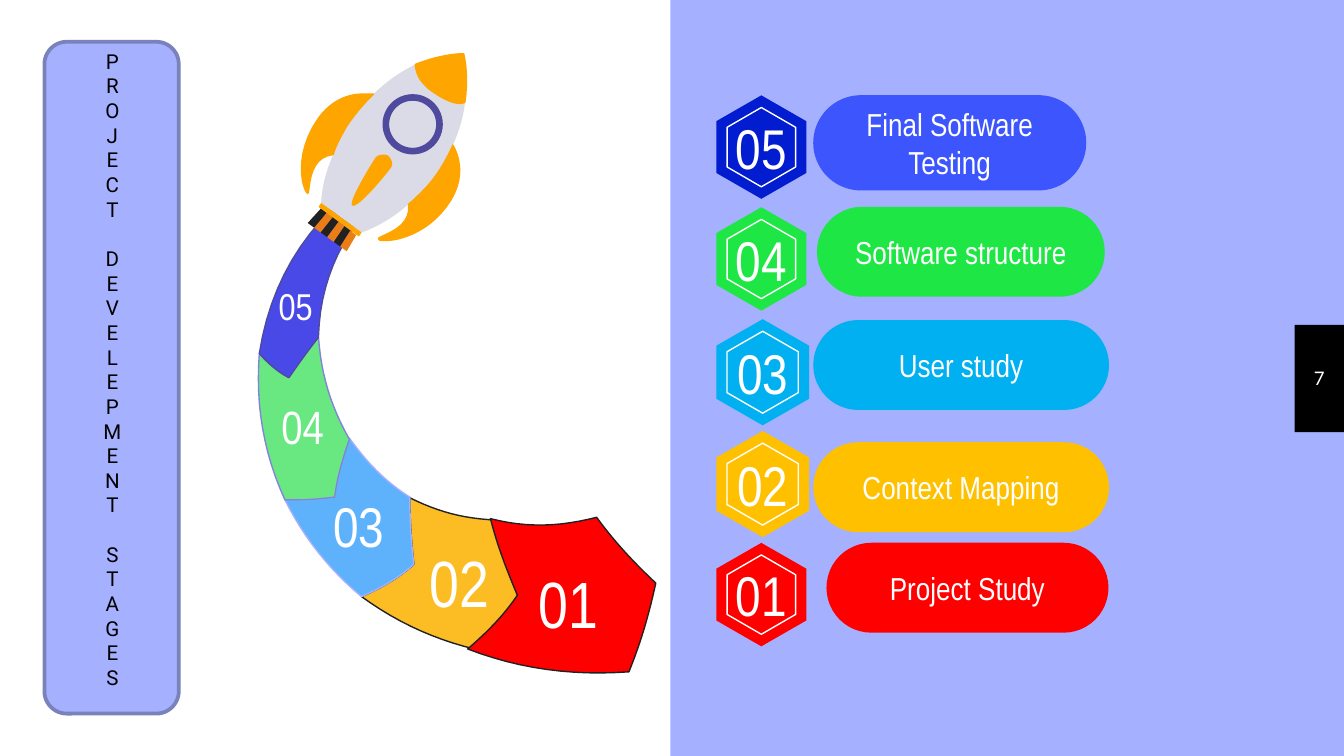
from dataclasses import dataclass
from itertools import accumulate

from pptx import Presentation
from pptx.dml.color import RGBColor
from pptx.enum.shapes import MSO_SHAPE as Preset
from pptx.enum.text import MSO_ANCHOR as Anchor, MSO_AUTO_SIZE as AutoSize, PP_ALIGN as Align
from pptx.util import Cm, Pt


@dataclass(frozen=True)
class Theme:
    lavender: str = "A5B0FE"
    white: str = "FFFFFF"
    black: str = "000000"
    ink: str = "212121"
    panel_line: str = "7A82BC"
    indigo: str = "4F4A9E"
    hull: str = "DADBE6"
    orange: str = "FFA500"
    ember: str = "EB7D16"
    red: str = "FF0000"
    amber: str = "FCBD24"
    sky: str = "5EB2FC"
    mint: str = "69E781"
    mint_line: str = "8184D9"
    violet: str = "4949E7"
    navy: str = "021CCF"
    blue: str = "3D55FD"
    green: str = "1EE644"
    cyan: str = "00B0F0"
    gold: str = "FFC000"
    narrow: str = "Arial Narrow"
    title_font: str = "Roboto"
    number_font: str = "Lato"
    title_size: float = 11
    title_gap: float = 13.2
    number_size: float = 10
    pill_size: float = 17
    badge_size: float = 30
    thin: float = 0.75
    thick: float = 2


theme = Theme()
GRID = Cm(2.54) / 100
CURVE_STEPS = 12


def paint(shape, fill=None, line=None, width=theme.thin):
    shape.shadow.inherit = False
    for target, color in ((shape.fill, fill), (shape.line.fill, line)):
        if color:
            target.solid()
            target.fore_color.rgb = RGBColor.from_string(color)
        else:
            target.background()
    if line:
        shape.line.width = Pt(width)
    return shape


def write(shape, text, size, font=theme.narrow, color=theme.white, anchor=Anchor.MIDDLE, inset=0.25):
    frame = shape.text_frame
    frame.text = text
    frame_format = {
        "word_wrap": True, "auto_size": AutoSize.NONE, "vertical_anchor": anchor,
        "margin_left": Cm(0.25), "margin_right": Cm(0.25),
        "margin_top": Cm(inset), "margin_bottom": Cm(inset),
    }
    for name, value in frame_format.items():
        setattr(frame, name, value)
    for paragraph in frame.paragraphs:
        paragraph.alignment = Align.CENTER
        for run in paragraph.runs:
            for name, value in {"name": font, "size": Pt(size), "bold": False}.items():
                setattr(run.font, name, value)
            run.font.color.rgb = RGBColor.from_string(color)


presentation = Presentation()
presentation.slide_width, presentation.slide_height = Cm(25.4), Cm(14.29)
slide = presentation.slides.add_slide(presentation.slide_layouts[5])
slide.background.fill.solid()
slide.background.fill.fore_color.rgb = RGBColor.from_string(theme.lavender)

number_tab = slide.shapes.add_shape(Preset.RECTANGLE, Cm(24.47), Cm(6.14), Cm(0.93), Cm(2.03))
paint(number_tab, theme.black)
write(number_tab, "7", theme.number_size, theme.number_font)
left_half = slide.shapes.add_shape(Preset.RECTANGLE, 0, 0, Cm(12.67), Cm(14.29))
paint(left_half, theme.white)

stages = [
    ("02", 35, 7.75, 10.31, theme.amber, theme.ink, [
        (304, 370), (305, 370), (305, 387, 306, 403, 308, 420), (297, 430, 283, 438, 269, 444),
        (298, 465, 328, 478, 362, 485), (375, 469, 385, 453, 394, 436),
        (384, 420, 376, 404, 369, 387), (345, 386, 326, 381, 304, 370)]),
    ("03", 30, 5.84, 9.25, theme.sky, theme.lavender, [
        (260, 326), (255, 340, 251, 355, 249, 370), (240, 371, 231, 372, 222, 372), (212, 372),
        (226, 400, 245, 424, 269, 444), (283, 438, 297, 430, 308, 420),
        (306, 403, 305, 387, 305, 370), (286, 358, 273, 344, 260, 326)]),
    ("04", 25, 4.78, 7.37, theme.mint, theme.mint_line, [
        (237, 251), (229, 261, 222, 271, 215, 281), (207, 277, 199, 270, 193, 263),
        (190, 301, 196, 337, 212, 372), (215, 372, 219, 372, 222, 372),
        (231, 372, 240, 371, 249, 370), (251, 355, 255, 341, 260, 327),
        (246, 302, 239, 279, 237, 251)]),
    ("05", 20, 4.65, 5.11, theme.violet, theme.indigo, [
        (266, 139), (225, 171, 201, 212, 193, 263), (199, 270, 207, 277, 215, 281),
        (222, 271, 229, 261, 237, 251), (238, 212, 252, 180, 277, 151), (266, 139)]),
    ("01", 35, 9.8, 10.72, theme.red, theme.ink, [
        (365, 386), (370, 406, 377, 424, 385, 443), (375, 458, 362, 471, 348, 483),
        (387, 498, 426, 503, 468, 500), (477, 478, 483, 457, 488, 434),
        (472, 419, 457, 403, 444, 385), (417, 392, 392, 393, 365, 386)]),
]
hull = [
    (309, 48), (299, 53, 288, 60, 278, 70), (270, 78, 264, 85, 258, 94),
    (254, 101, 250, 108, 248, 115), (239, 135, 239, 151, 239, 151), (269, 173),
    (269, 173, 286, 168, 304, 152), (310, 147, 315, 142, 321, 135),
    (328, 126, 333, 117, 337, 108), (342, 97, 345, 86, 346, 76),
    (346, 76, 340, 81, 323, 69), (309, 59, 309, 48, 309, 48)]
right_fin = [
    (337, 108), (333, 117, 328, 126, 321, 135), (315, 142, 310, 147, 304, 152),
    (307, 172, 278, 176, 282, 178), (282, 179, 284, 179, 287, 179),
    (296, 179, 317, 174, 332, 154), (348, 133, 341, 115, 337, 108)]
left_fin = [
    (278, 70), (270, 78, 264, 85, 258, 94), (254, 101, 250, 108, 248, 115),
    (228, 117, 231, 144, 229, 144), (225, 141, 218, 115, 237, 88),
    (248, 73, 261, 70, 271, 70), (273, 70, 276, 70, 278, 70)]
nose = [
    (345, 40), (344, 40, 329, 40, 309, 48), (309, 48, 309, 50, 310, 53),
    (311, 57, 314, 63, 323, 69), (332, 75, 338, 77, 342, 77),
    (345, 77, 346, 76, 346, 76), (349, 54, 345, 40, 345, 40)]
handle = [
    (285, 115), (283, 115, 280, 116, 279, 118), (277, 121, 259, 150, 262, 153),
    (266, 156, 288, 129, 290, 126), (293, 123, 292, 119, 289, 116), (288, 115, 286, 115, 285, 115)]
collar = [(239, 151), (237, 154), (267, 176), (269, 173)]
nozzle = [
    ([(239 + 26 * a / 6, 155 + 20 * a / 6), (229 + 29 * a / 6, 166 + 21 * a / 6),
      (229 + 29 * b / 6, 166 + 21 * b / 6), (239 + 26 * b / 6, 155 + 20 * b / 6)],
     theme.ember if a % 2 else theme.ink, None)
    for a, b in zip(range(6), range(1, 7))]
rocket_parts = [
    (hull, theme.hull, None), *nozzle,
    (right_fin, theme.orange, theme.orange), (left_fin, theme.orange, theme.orange),
    (collar, theme.orange, None), (handle, theme.orange, None), (nose, theme.orange, theme.orange),
]
steps = [
    ("05", "Final Software Testing", theme.navy, theme.blue, (15.37, 1.8, 5.16, 1.8), (67, 77)),
    ("04", "Software structure", theme.green, theme.green, (15.44, 3.91, 5.44, 1.7), (67, 77)),
    ("03", "User study", theme.cyan, theme.cyan, (15.37, 6.05, 5.59, 1.7), (69, 79)),
    ("02", "Context Mapping", theme.gold, theme.gold, (15.37, 8.36, 5.59, 1.7), (69, 79)),
    ("01", "Project Study", theme.red, theme.red, (15.62, 10.26, 5.33, 1.7), (67, 77)),
]

drawings = [([(outline, fill, line)], None) for _, _, _, _, fill, line, outline in stages]
drawings.append((rocket_parts, None))
for row, (number, label, badge_color, pill_color, box, (width, height)) in enumerate(steps):
    pill = slide.shapes.add_shape(Preset.ROUNDED_RECTANGLE, *map(Cm, box))
    pill.adjustments[0] = 0.5
    write(paint(pill, pill_color), label, theme.pill_size)
    hexagons = []
    for inset_x, inset_y, fill, line in ((0, 0, badge_color, None), (8, 9, None, theme.white)):
        left, right = 533 + inset_x, 533 + width - inset_x
        top, bottom = 71 + 83.25 * row + inset_y, 71 + 83.25 * row + height - inset_y
        middle, quarter = (left + right) / 2, (bottom - top) / 4
        hexagons.append(([
            (middle, top), (left, top + quarter), (left, bottom - quarter),
            (middle, bottom), (right, bottom - quarter), (right, top + quarter)], fill, line))
    drawings.append((hexagons, number))

for parts, number in drawings:
    group = slide.shapes.add_group_shape()
    for index, (outline, fill, line) in enumerate(parts):
        points = [outline[0]]
        for segment in outline[1:]:
            if len(segment) == 2:
                points.append(segment)
                continue
            (x0, y0), (x1, y1, x2, y2, x3, y3) = points[-1], segment
            for t in (step / CURVE_STEPS for step in range(1, CURVE_STEPS + 1)):
                weights = (1 - t) ** 3, 3 * t * (1 - t) ** 2, 3 * t * t * (1 - t), t ** 3
                points.append(tuple(sum(w * v for w, v in zip(weights, values))
                                    for values in ((x0, x1, x2, x3), (y0, y1, y2, y3))))
        start, *rest = [(round(x * GRID), round(y * GRID)) for x, y in points]
        builder = group.shapes.build_freeform(*start, scale=1.0)
        builder.add_line_segments(rest, close=True)
        shape = paint(builder.convert_to_shape(), fill, line)
        if number and index == 0:
            write(shape, number, theme.badge_size)
    if parts is rocket_parts:
        window = group.shapes.add_shape(Preset.DONUT, Cm(7.23), Cm(1.78), Cm(1.14), Cm(1.14))
        window.adjustments[0] = 0.11
        paint(window, theme.indigo)

for number, size, left, top, *_ in stages:
    label = slide.shapes.add_textbox(Cm(left), Cm(top), Cm(1.88), Cm(1.35))
    write(label, number, size)

panel = slide.shapes.add_shape(Preset.ROUNDED_RECTANGLE, Cm(0.84), Cm(0.79), Cm(2.54), Cm(12.7))
paint(panel, theme.lavender, theme.panel_line, theme.thick)
words = ["PROJECT", "DEVELEPMENT", "STAGES"]
title = slide.shapes.title
for name, value in {"left": 1.07, "top": 0.79, "width": 2.11, "height": 12.47}.items():
    setattr(title, name, Cm(value))
write(title, "\n".join("".join(words)), theme.title_size, theme.title_font, theme.black, Anchor.TOP, 0.13)
for first_letter in accumulate(map(len, words[:-1])):
    title.text_frame.paragraphs[first_letter].space_before = Pt(theme.title_gap)
panel._element.addnext(title._element)

presentation.save("out.pptx")
